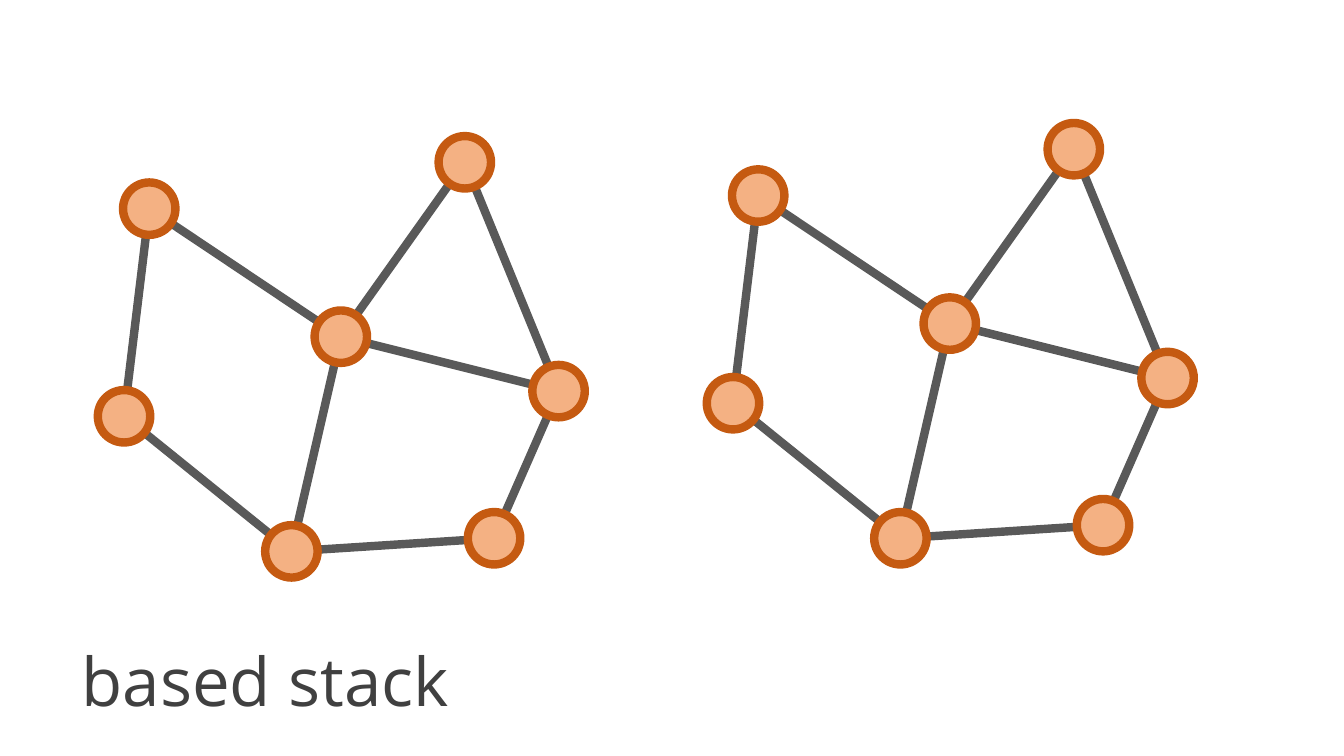
from lxml import etree
from pptx import Presentation
from pptx.dml.color import RGBColor
from pptx.enum.shapes import MSO_CONNECTOR, MSO_SHAPE
from pptx.enum.text import MSO_ANCHOR, MSO_AUTO_SIZE, PP_ALIGN
from pptx.oxml.ns import qn
from pptx.util import Inches, Pt

LINE, DOT = MSO_CONNECTOR.STRAIGHT, MSO_SHAPE.OVAL
LEFT, TOP, FIXED = PP_ALIGN.LEFT, MSO_ANCHOR.TOP, MSO_AUTO_SIZE.NONE

# Content: node centres of one graph in inches, and the links between them
TITLE = "based stack"
NODES = {
    "west": (1.48, 2.07),
    "hub": (3.38, 3.34),
    "low": (1.23, 4.13),
    "south": (2.89, 5.47),
    "east": (5.54, 3.88),
    "north": (4.61, 1.61),
    "base": (4.9, 5.34),
}
LINKS = [
    ("east", "hub"), ("hub", "west"), ("hub", "north"),
    ("east", "north"), ("south", "base"), ("base", "east"),
    ("low", "south"), ("hub", "south"), ("west", "low"),
]
SHIFTS = [(6.04, -0.13), (0, 0)]
SIZE = 0.52
BOX = {"left": 0.71, "top": 6.29, "width": 6.73, "height": 0.91}

THEME = {
    "link": RGBColor(0x59, 0x59, 0x59),
    "fill": RGBColor(0xF4, 0xB1, 0x83),
    "rim": RGBColor(0xC5, 0x5A, 0x11),
    "text": RGBColor(0x40, 0x40, 0x40),
    "font": "Open Sans",
    "size": Pt(48),
    "line": Pt(6),
}


def put(item, values):
    """Set attributes of an item from a dict."""
    for name, value in values.items():
        setattr(item, name, value)


def stroke(shape, color):
    """Give a shape or connector its line."""
    shape.line.color.rgb = color
    shape.line.width = THEME["line"]


def add_link(group, start, end):
    """Join two node centres with a plain line."""
    ends = [Inches(v) for v in (*start, *end)]
    link = group.shapes.add_connector(LINE, *ends)
    stroke(link, THEME["link"])
    etree.SubElement(link._element.spPr, qn("a:effectLst"))


def add_node(group, x, y):
    """Draw a round node about its centre."""
    spot = [Inches(v) for v in (x - SIZE / 2, y - SIZE / 2, SIZE, SIZE)]
    node = group.shapes.add_shape(DOT, *spot)
    node.shadow.inherit = False
    node.fill.solid()
    node.fill.fore_color.rgb = THEME["fill"]
    stroke(node, THEME["rim"])


def add_graph(slide, dx, dy):
    """Draw one shifted graph, links beneath nodes."""
    group = slide.shapes.add_group_shape()
    spots = {name: (x + dx, y + dy) for name, (x, y) in NODES.items()}
    for start, end in LINKS:
        add_link(group, spots[start], spots[end])
    for x, y in spots.values():
        add_node(group, x, y)


def set_title(slide):
    """Place and format the title."""
    title = slide.shapes.title
    put(title, {name: Inches(v) for name, v in BOX.items()})
    frame = title.text_frame
    frame.text = TITLE
    put(frame, {"word_wrap": True, "auto_size": FIXED,
                "vertical_anchor": TOP})
    para = frame.paragraphs[0]
    para.alignment = LEFT
    font = para.runs[0].font
    put(font, {"name": THEME["font"], "size": THEME["size"]})
    font.color.rgb = THEME["text"]


deck = Presentation()
put(deck, {"slide_width": Inches(13.33), "slide_height": Inches(7.5)})
page = deck.slides.add_slide(deck.slide_layouts[5])
for shift in SHIFTS:
    add_graph(page, *shift)
set_title(page)
deck.save("out.pptx")
